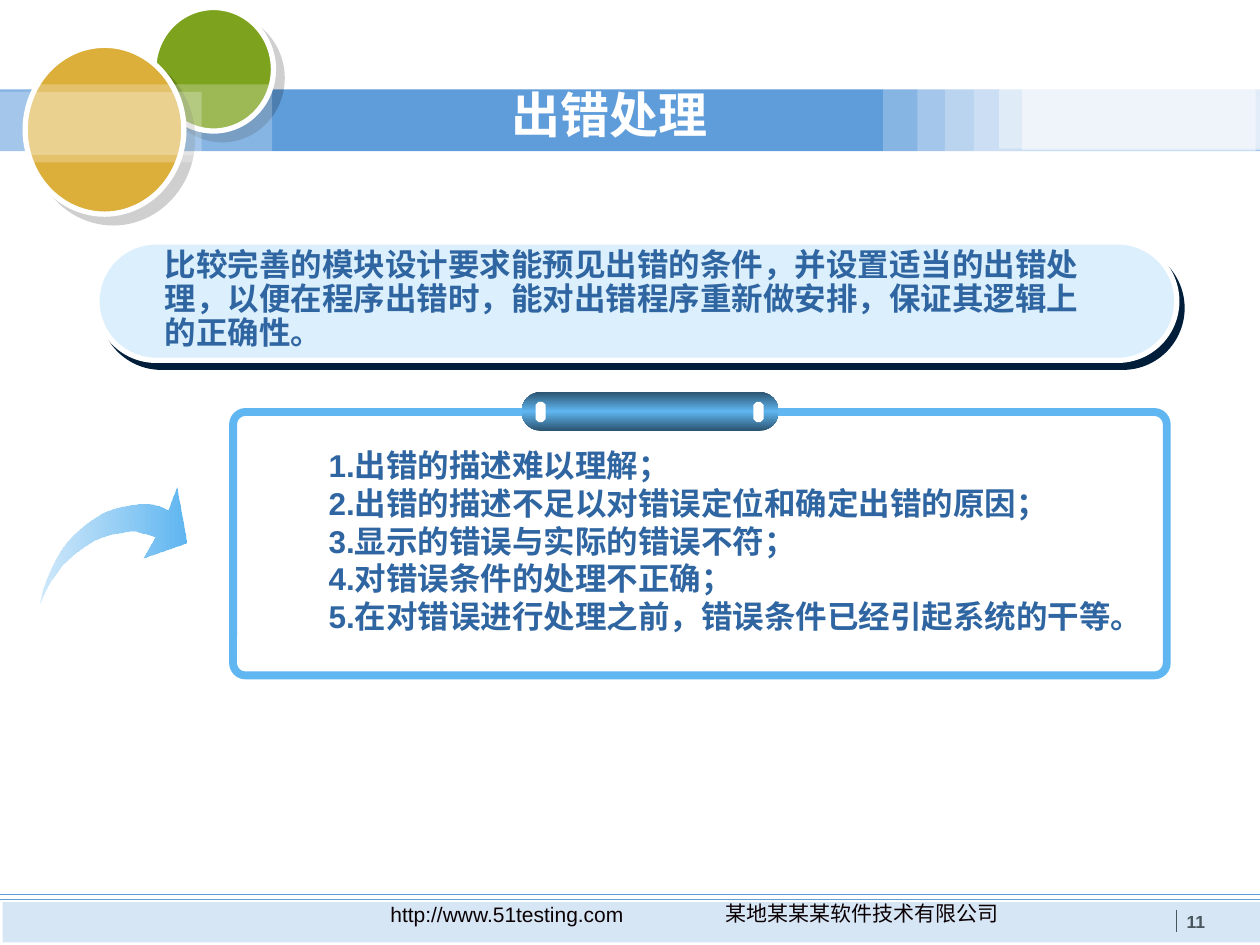
from dataclasses import dataclass

from lxml import etree
from pptx import Presentation
from pptx import util as u
from pptx.dml.color import RGBColor
from pptx.enum import shapes, text
from pptx.oxml.ns import qn

In = u.Inches
Kind = shapes.MSO_SHAPE


@dataclass(frozen=True)
class Theme:
    font: str = "Arial"
    white: str = "FFFFFF"
    black: str = "000000"
    blue: str = "5E9CDA"
    green: str = "7CA21E"
    gold: str = "DCAE3A"
    grey: str = "4A565E"
    ink: str = "0B0104"
    navy: str = "001D3A"
    pale: str = "DCEFFC"
    sky: str = "5FB6F1"
    mist: str = "6DBBF1"
    steel: str = "2B536F"
    words: str = "2F65A1"
    title: int = 28
    body: int = 18
    foot: int = 12
    page: int = 10


class Page:
    def __init__(self, deck, theme):
        self.theme = theme
        self.slide = deck.slides.add_slide(deck.slide_layouts[6])
        self.items = self.slide.shapes

    def tint(self, node, color, alpha=100):
        clr = etree.SubElement(node, qn("a:srgbClr"), val=color)
        if alpha < 100:
            etree.SubElement(clr, qn("a:alpha"), val=str(alpha * 1000))

    def paint(self, shape, fill=None, alpha=100, line=None, width=0, shade=None):
        shape.shadow.inherit = False
        props = shape._element.spPr
        if fill:
            shape.fill.solid()
            solid = props.find(qn("a:solidFill"))
            self.tint(solid, fill, alpha)
        else:
            shape.fill.background()
        if line:
            shape.line.color.rgb = RGBColor.from_string(line)
            shape.line.width = u.Pt(width)
        else:
            shape.line.fill.background()
        if shade:
            color, clear, dist, angle = shade
            glow = etree.SubElement(
                props.find(qn("a:effectLst")), qn("a:outerShdw"), blurRad="0",
                dist=str(u.Pt(dist)), dir=str(angle * 60000),
                algn="ctr", rotWithShape="0")
            self.tint(glow, color, clear)
        return shape

    def shape(self, kind, box, fill=None, adj=None, **look):
        shape = self.items.add_shape(kind, *map(In, box))
        if adj is not None:
            shape.adjustments[0] = adj
        return self.paint(shape, fill, **look)

    def blend(self, shape, stops, angle):
        shape.fill.gradient()
        grad = shape._element.spPr.find(qn("a:gradFill"))
        for node in list(grad):
            grad.remove(node)
        group = etree.SubElement(grad, qn("a:gsLst"))
        for spot, color, alpha in stops:
            stop = etree.SubElement(group, qn("a:gs"), pos=str(spot * 1000))
            self.tint(stop, color, alpha)
        etree.SubElement(grad, qn("a:lin"), ang=str(angle * 60000), scaled="0")

    def outline(self, dots):
        pen = self.items.build_freeform(*dots[0], scale=In(0.01))
        pen.add_line_segments(dots[1:], close=True)
        return self.paint(pen.convert_to_shape())

    def line(self, start, end, color):
        rule = self.items.add_connector(
            shapes.MSO_CONNECTOR.STRAIGHT, *map(In, start + end))
        rule.line.color.rgb = RGBColor.from_string(color)
        rule.line.width = u.Pt(0.75)
        etree.SubElement(rule._element.spPr, qn("a:effectLst"))

    def text(self, box, lines, size, color, bold=True, align="LEFT",
             anchor="TOP", space=None, margin=0):
        frame = self.items.add_textbox(*map(In, box)).text_frame
        frame.word_wrap = True
        frame.vertical_anchor = getattr(text.MSO_ANCHOR, anchor)
        for i, words in enumerate(lines):
            para = frame.add_paragraph() if i else frame.paragraphs[0]
            para.alignment = getattr(text.PP_ALIGN, align)
            if space:
                para.line_spacing = space
            if margin:
                para.level = 1
                props = para._p.get_or_add_pPr()
                props.set("marL", str(In(margin)))
                props.set("indent", "0")
            run = para.add_run()
            run.text = words
            run.font.name = self.theme.font
            run.font.size = u.Pt(size)
            run.font.bold = bold
            run.font.color.rgb = RGBColor.from_string(color)


def header(page, t):
    shade = (t.black, 19, 7.1, 45)
    page.shape(Kind.RECTANGLE, (0, 0.71, 10, 0.49), t.blue)
    page.shape(Kind.OVAL, (1.22, 0.06, 0.95, 0.98), t.green,
               line=t.white, width=3, shade=shade)
    veils = [
        (7.01, 0.68, 2.95, 0.56, 25),
        (7.28, 0.7, 2.72, 0.57, 25),
        (7.5, 0.69, 2.5, 0.57, 25),
        (7.73, 0.71, 2.24, 0.49, 25),
        (7.93, 0.69, 2.07, 0.49, 40),
        (8.11, 0.7, 1.89, 0.49, 48),
    ]
    for *box, alpha in veils:
        page.shape(Kind.RECTANGLE, box, t.white, alpha=alpha)
    page.shape(Kind.OVAL, (0.2, 0.36, 1.26, 1.34), t.gold,
               line=t.white, width=3, shade=shade)
    for top, width in ((0.67, 2.16), (0.73, 1.6)):
        page.shape(Kind.RECTANGLE, (0, top, width, 0.56), t.white, alpha=25)
    page.text((3.96, 0.41, 2.42, 1.04), ["出错处理"], t.title, t.white,
              anchor="MIDDLE", space=0.9)


def footer(page, t):
    page.shape(Kind.RECTANGLE, (0.02, 7.16, 9.98, 0.32), t.blue, alpha=25)
    for y in (7.1, 7.14):
        page.line((0, y), (10, y), t.blue)
    page.line((9.34, 7.22), (9.34, 7.4), t.grey)
    for box, words in (
        ((5.08, 7.1, 3.52, 0.3), "某地某某某软件技术有限公司"),
        ((2.39, 7.11, 3.27, 0.3), "http://www.51testing.com"),
    ):
        page.text(box, [words], t.foot, t.ink, bold=False, align="CENTER")
    page.text((9.32, 7.18, 0.48, 0.27), ["11"], t.page, t.grey)


def body(page, t):
    page.shape(Kind.ROUNDED_RECTANGLE, (0.77, 1.92, 8.57, 0.94), t.pale, 0.5,
               line=t.white, width=3, shade=(t.navy, 100, 5, 53))
    page.text((1.21, 1.93, 7.69, 0.91),
              ["比较完善的模块设计要求能预见出错的条件，并设置适当的出错处理，"
               "以便在程序出错时，能对出错程序重新做安排，保证其逻辑上的正确性。"],
              t.body, t.words, space=0.9)

    arrow = page.outline([
        (32, 478), (33, 476), (34, 473), (36, 469), (38, 465), (41, 460),
        (45, 455), (49, 449), (54, 444), (60, 439), (67, 434), (75, 429),
        (83, 426), (90, 424), (97, 423), (102, 422), (108, 422), (112, 423),
        (116, 424), (123, 426), (113, 443), (148, 431), (140, 387),
        (133, 405), (127, 402), (123, 401), (119, 400), (109, 400),
        (103, 401), (96, 402), (89, 404), (82, 407), (74, 412), (67, 417),
        (59, 424), (53, 430), (48, 437), (44, 444), (41, 450), (38, 457),
        (36, 462), (34, 468), (33, 472)])
    page.blend(arrow, [(0, t.sky, 100), (100, t.mist, 32)], 180)

    page.shape(Kind.ROUNDED_RECTANGLE, (1.85, 3.27, 7.41, 2.09), adj=0.047,
               line=t.sky, width=4.5)
    clip = page.shape(Kind.ROUNDED_RECTANGLE, (4.14, 3.11, 2.04, 0.31), adj=0.5)
    page.blend(clip, [(0, t.steel, 100), (50, t.sky, 100), (100, t.steel, 100)], 90)
    for x in (5.98, 4.25):
        page.shape(Kind.OCTAGON, (x, 3.19, 0.08, 0.16), t.white, 0.29)
    faults = [
        "出错的描述难以理解；",
        "出错的描述不足以对错误定位和确定出错的原因；",
        "显示的错误与实际的错误不符；",
        "对错误条件的处理不正确；",
        "在对错误进行处理之前，错误条件已经引起系统的干等。",
    ]
    page.text((2.01, 3.49, 7.36, 1.6),
              [f"{i}.{fault}" for i, fault in enumerate(faults, 1)],
              t.body, t.words, margin=0.5)


def main():
    deck = Presentation()
    deck.slide_width, deck.slide_height = In(10), In(7.5)
    theme = Theme()
    page = Page(deck, theme)
    for part in (header, footer, body):
        part(page, theme)
    deck.save("out.pptx")


if __name__ == "__main__":
    main()
